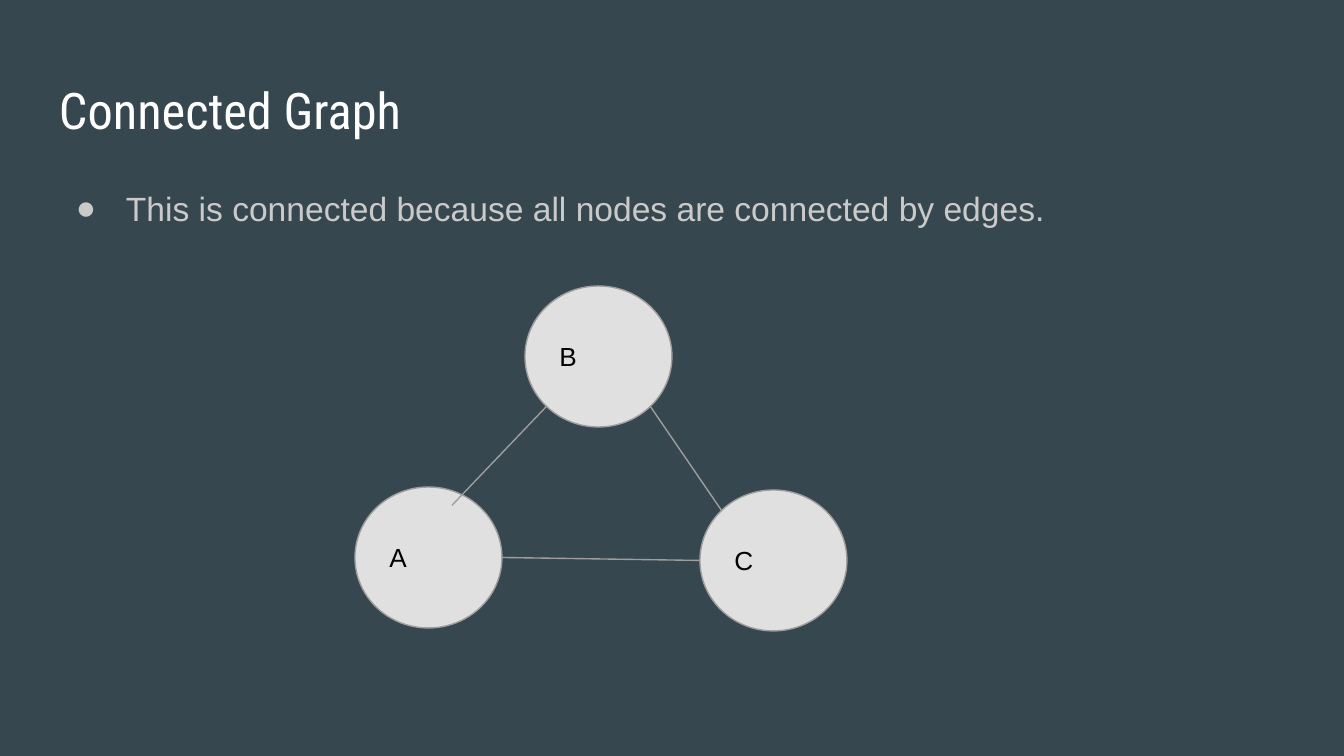
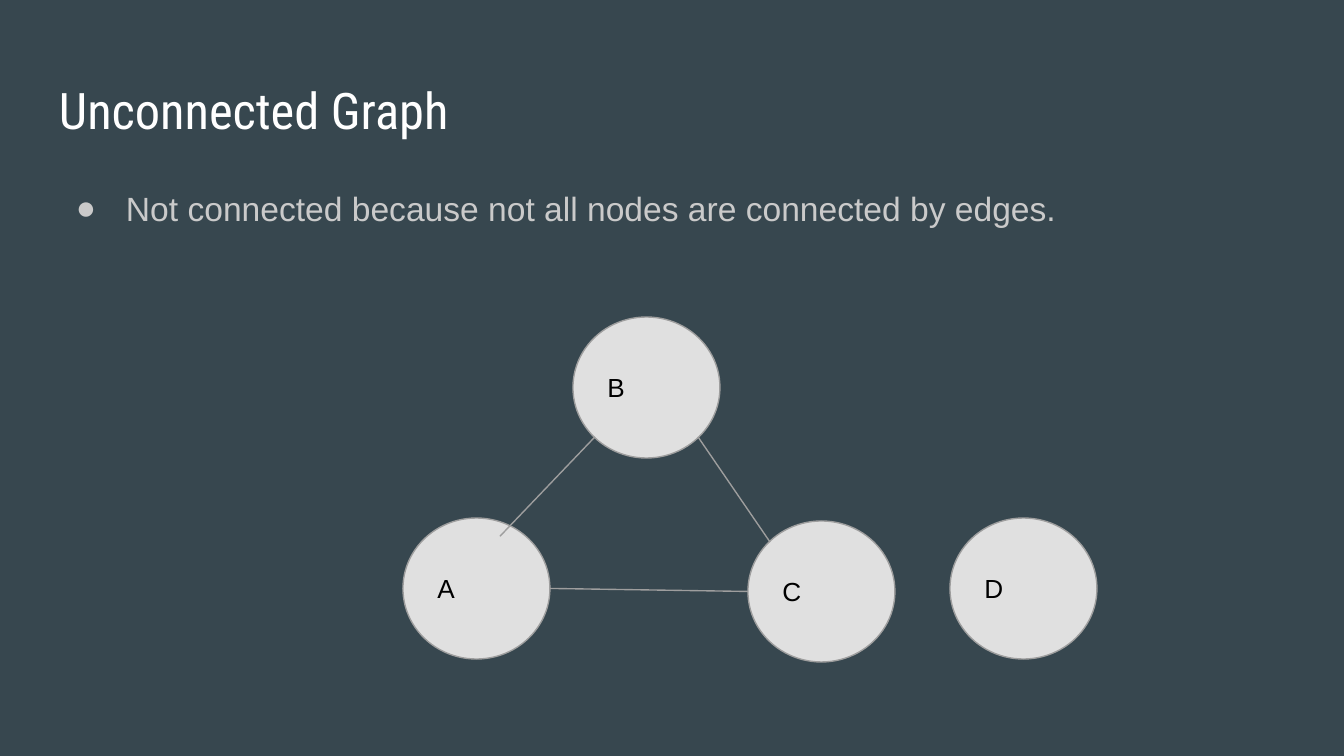
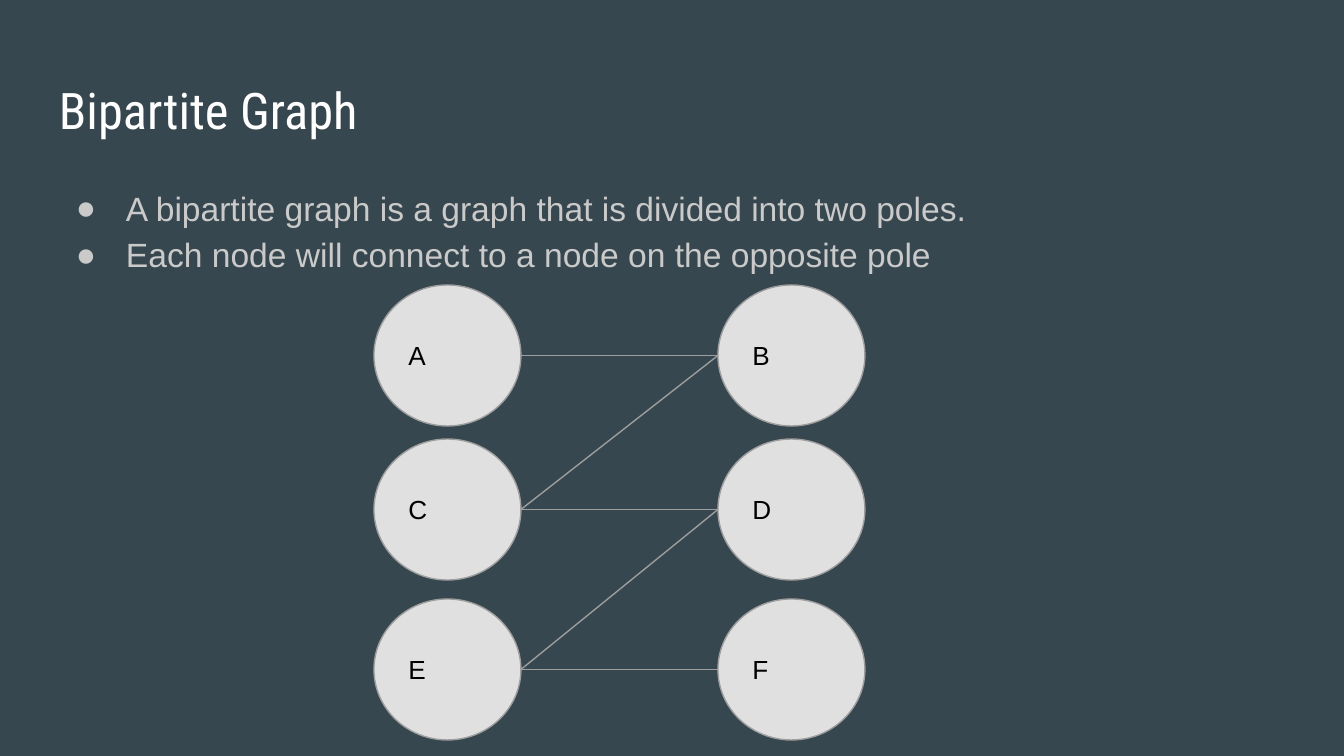
import pptx
import pptx.dml.color
import pptx.enum.shapes
import pptx.enum.text
import pptx.oxml.ns
import pptx.util
from lxml import etree

PX = 914400 / 134.4
SLIDE_SIZE = (1344, 756)
NODE_WIDTH, NODE_HEIGHT = 147, 141
INSET = 13
BACKGROUND, WHITE, BLACK = "37474F", "FFFFFF", "000000"
BODY_GREY, NODE_GREY, EDGE_GREY = "CACACA", "E0E0E0", "9E9E9E"
TITLE_BOX = (46, 66, 1253, 85)
BODY_LEFT, BODY_TOP, BODY_WIDTH = 46, 169, 1253
BULLET_INDENT, BULLET_HANG = 67, 50

LEFT, RIGHT = (0, 0.5), (1, 0.5)
TOP_LEFT, BOTTOM_LEFT, BOTTOM_RIGHT = (0.15, 0.15), (0.15, 0.85), (0.85, 0.85)
UPPER_INSIDE = (0.66, 0.13)

TRIANGLE = {"B": (525, 286), "A": (355, 487), "C": (700, 490)}
TRIANGLE_EDGES = [
    ("A", UPPER_INSIDE, "B", BOTTOM_LEFT),
    ("B", BOTTOM_RIGHT, "C", TOP_LEFT),
    ("A", RIGHT, "C", LEFT),
]
POLES = {
    name: (x, y)
    for pair, y in zip(("AB", "CD", "EF"), (285, 439, 599))
    for name, x in zip(pair, (374, 718))
}
POLE_EDGES = [(start, RIGHT, end, LEFT) for start, end in ("AB", "CB", "CD", "ED", "EF")]

SLIDES = [
    {
        "title": "Connected Graph",
        "points": ["This is connected because all nodes are connected by edges."],
        "body_height": 85,
        "offset": (0, 0),
        "nodes": TRIANGLE,
        "edges": TRIANGLE_EDGES,
    },
    {
        "title": "Unconnected Graph",
        "points": ["Not connected because not all nodes are connected by edges."],
        "body_height": 99,
        "offset": (48, 31),
        "nodes": {**TRIANGLE, "D": (902, 487)},
        "edges": TRIANGLE_EDGES,
    },
    {
        "title": "Bipartite Graph",
        "points": [
            "A bipartite graph is a graph that is divided into two poles.",
            "Each node will connect to a node on the opposite pole",
        ],
        "body_height": 503,
        "offset": (0, 0),
        "nodes": POLES,
        "edges": POLE_EDGES,
    },
]


def px(length):
    return pptx.util.Emu(round(length * PX))


def color(value):
    return pptx.dml.color.RGBColor.from_string(value)


def place(box, left, top, width, height):
    box.left, box.top, box.width, box.height = map(px, (left, top, width, height))


def set_frame(box, anchor):
    frame = box.text_frame
    frame.margin_left = frame.margin_right = frame.margin_top = frame.margin_bottom = px(INSET)
    frame.word_wrap = True
    frame.auto_size = pptx.enum.text.MSO_AUTO_SIZE.NONE
    frame.vertical_anchor = anchor
    return frame


def style_para(para, font, size, value):
    para.alignment = pptx.enum.text.PP_ALIGN.LEFT
    para.font.name = font
    para.font.size = pptx.util.Pt(size)
    para.font.color.rgb = color(value)


def add_bullet(para):
    properties = para._p.get_or_add_pPr()
    properties.set("marL", str(px(BULLET_INDENT)))
    properties.set("indent", str(-px(BULLET_HANG)))
    tag = pptx.oxml.ns.qn
    bullet_color = etree.SubElement(properties, tag("a:buClr"))
    etree.SubElement(bullet_color, tag("a:srgbClr"), val=BODY_GREY)
    etree.SubElement(properties, tag("a:buFont"), typeface="Arial")
    etree.SubElement(properties, tag("a:buChar"), char="●")


def fill_title(page, title):
    box = page.shapes.title
    place(box, *TITLE_BOX)
    frame = set_frame(box, pptx.enum.text.MSO_ANCHOR.TOP)
    frame.text = title
    style_para(frame.paragraphs[0], "Roboto Condensed", 27, WHITE)


def fill_body(page, points, height):
    box = page.placeholders[1]
    place(box, BODY_LEFT, BODY_TOP, BODY_WIDTH, height)
    frame = set_frame(box, pptx.enum.text.MSO_ANCHOR.TOP)
    frame.text = "\n".join(points)
    for para in frame.paragraphs:
        para.line_spacing = 1.15
        para.space_before = pptx.util.Pt(0)
        add_bullet(para)
        style_para(para, "Arial", 18, BODY_GREY)


def style_line(line):
    line.color.rgb = color(EDGE_GREY)
    line.width = pptx.util.Pt(0.75)


def add_node(page, name, left, top):
    node = page.shapes.add_shape(
        pptx.enum.shapes.MSO_SHAPE.OVAL, *map(px, (left, top, NODE_WIDTH, NODE_HEIGHT))
    )
    node.shadow.inherit = False
    node.fill.solid()
    node.fill.fore_color.rgb = color(NODE_GREY)
    style_line(node.line)
    frame = set_frame(node, pptx.enum.text.MSO_ANCHOR.MIDDLE)
    frame.text = name
    style_para(frame.paragraphs[0], "Arial", 14, BLACK)


def add_edge(page, start, end):
    edge = page.shapes.add_connector(
        pptx.enum.shapes.MSO_CONNECTOR.STRAIGHT, *map(px, (*start, *end))
    )
    style_line(edge.line)
    etree.SubElement(edge._element.spPr, pptx.oxml.ns.qn("a:effectLst"))


def add_graph(page, nodes, edges, offset):
    corners = {name: (x + offset[0], y + offset[1]) for name, (x, y) in nodes.items()}

    def point(name, site):
        left, top = corners[name]
        return left + site[0] * NODE_WIDTH, top + site[1] * NODE_HEIGHT

    for name, corner in corners.items():
        add_node(page, name, *corner)
    for start, start_site, end, end_site in edges:
        add_edge(page, point(start, start_site), point(end, end_site))


def main():
    deck = pptx.Presentation()
    deck.slide_width, deck.slide_height = map(px, SLIDE_SIZE)
    background = deck.slide_master.background.fill
    background.solid()
    background.fore_color.rgb = color(BACKGROUND)
    for content in SLIDES:
        page = deck.slides.add_slide(deck.slide_layouts[1])
        fill_title(page, content["title"])
        fill_body(page, content["points"], content["body_height"])
        add_graph(page, content["nodes"], content["edges"], content["offset"])
    deck.save("out.pptx")


if __name__ == "__main__":
    main()
